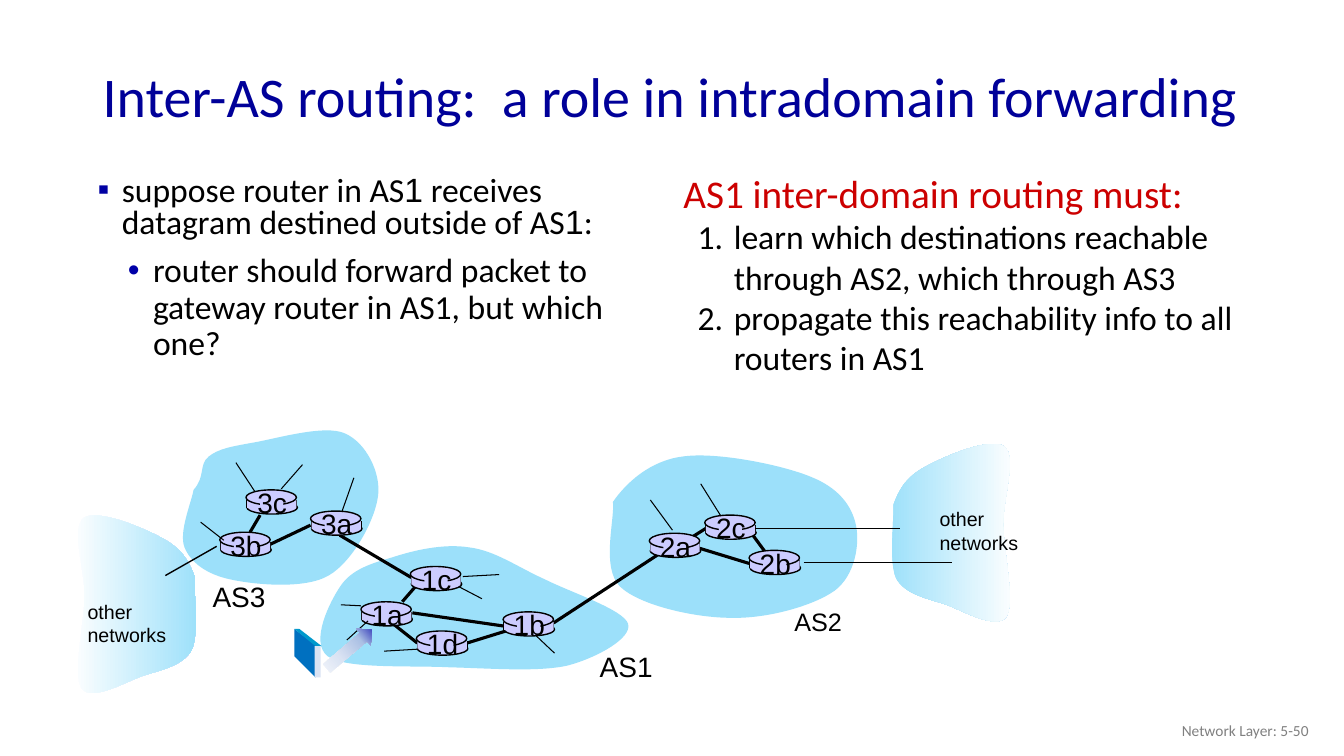
import copy
import pptx
import pptx.util
import pptx.dml.color
import pptx.enum.shapes
import pptx.enum.text
import pptx.oxml.ns
import lxml.etree

KIND = pptx.enum.shapes.MSO_SHAPE
ALIGN = pptx.enum.text.PP_ALIGN
qn = pptx.oxml.ns.qn
BLACK, SKY, LILAC = "000000", "9CE0FA", "CCCCFF"

# Outlines: a start, then three points for each curve
AS2 = [(6.08, .98), (6.21, .79), (6.45, .57), (6.77, .53), (7.1, .48), (7.75, .61), (8.04, .73),
       (8.32, .84), (8.45, 1.02), (8.49, 1.21), (8.53, 1.4), (8.48, 1.71), (8.28, 1.86),
       (8.07, 2.01), (7.61, 2.14), (7.25, 2.13), (6.9, 2.13), (6.35, 2.01), (6.15, 1.82),
       (5.96, 1.63), (6.1, 1.15), (6.08, .98)]
AS3 = [(1.92, .86), (2.04, .73), (1.97, .61), (2.07, .53), (2.17, .45), (2.3, .43), (2.52, .39),
       (2.75, .35), (3.22, .21), (3.42, .3), (3.63, .39), (3.78, .69), (3.75, .92),
       (3.72, 1.16), (3.5, 1.57), (3.26, 1.71), (3.02, 1.85), (2.52, 1.8), (2.29, 1.75),
       (2.05, 1.7), (1.89, 1.58), (1.83, 1.43), (1.77, 1.28), (1.9, .98), (1.92, .86)]
AS1 = [(3.38, 1.81), (3.49, 1.65), (3.68, 1.59), (3.89, 1.53), (4.1, 1.46), (4.4, 1.39), (4.65, 1.43),
       (4.91, 1.46), (5.14, 1.63), (5.41, 1.75), (5.67, 1.88), (6.19, 2.05), (6.23, 2.19),
       (6.27, 2.33), (5.93, 2.52), (5.64, 2.6), (5.35, 2.67), (4.86, 2.63), (4.46, 2.62),
       (4.06, 2.6), (3.43, 2.64), (3.25, 2.51), (3.07, 2.37), (3.27, 1.97), (3.38, 1.81)]
OTHER = [(1.23, .68), (1.17, .52), (1.1, .4), (.91, .3), (.73, .2), (.26, 0), (.13, .1),
         (0, .2), (.14, .6), (.14, .88), (.13, 1.17), (.02, 1.66), (.11, 1.79),
         (.2, 1.92), (.52, 1.74), (.7, 1.67), (.88, 1.61), (1.11, 1.57), (1.2, 1.41),
         (1.28, 1.24), (1.22, .84), (1.23, .68)]
NODES = {"3b": (2.18, 1.28), "1d": (4.13, 2.26), "3a": (3.08, 1.07), "1c": (4.07, 1.62),
         "2a": (6.44, 1.29), "1a": (3.58, 1.97), "2c": (6.99, 1.11), "2b": (7.43, 1.46),
         "1b": (4.99, 2.07), "3c": (2.44, .86)}
LINKS = [(6.94, 1.44, 7.43, 1.59), (7.46, 1.3, 7.6, 1.49), (6.83, 1.35, 7.02, 1.23),
         (4.63, 2.38, 5.05, 2.25), (3.9, 2.19, 4.14, 2.38), (4.09, 2.08, 4.99, 2.21),
         (3.99, 1.97, 4.12, 1.82), (2.68, 1.4, 3.08, 1.21), (3.37, 1.31, 4.08, 1.73),
         (5.49, 2.18, 6.53, 1.5), (2.58, 1.11, 2.48, 1.28)]
STUBS = [(1.99, 1.18, 2.22, 1.36), (3, .61, 2.79, .85), (2.34, .59, 2.53, .88),
         (3.51, .74, 3.39, 1.08), (7.15, 1.12, 6.95, .8), (6.67, 1.26, 6.45, .96),
         (3.65, 2.16, 3.44, 2.35), (3.58, 2.01, 3.38, 2), (4.15, 2.44, 3.81, 2.46),
         (4.59, 1.72, 4.95, 1.7), (5.31, 2.3, 5.5, 2.48), (4.55, 1.82, 4.78, 1.94),
         (7.49, 1.24, 8.93, 1.24), (7.97, 1.58, 9.44, 1.58)]


def inch(num):
    return pptx.util.Cm(num * 2.54)


def tint(code):
    return pptx.dml.color.RGBColor.from_string(code)


def paint(shape, fill, line=None):
    """Fill with one colour, or with a list of (place, colour) stops."""
    shape.shadow.inherit = False
    if isinstance(fill, str):
        shape.fill.solid()
        shape.fill.fore_color.rgb = tint(fill)
    else:
        shape.fill.gradient()
        shape.fill.gradient_angle = 0
        stops = shape._element.spPr.find(".//" + qn("a:gsLst"))
        while len(stops) < len(fill):
            stops.append(copy.deepcopy(stops[0]))
        for stop, (place, code) in zip(shape.fill.gradient_stops, fill):
            stop.position = place
            stop.color.rgb = tint(code)
    if line:
        shape.line.color.rgb = tint(line)
        shape.line.width = pptx.util.Pt(1)
    else:
        shape.line.fill.background()
    return shape


def block(slide, kind, box, fill, line=None):
    return paint(slide.shapes.add_shape(kind, *map(inch, box)), fill, line)


def wire(slide, x, y, ends, width):
    x1, y1, x2, y2 = ends
    line = slide.shapes.add_connector(pptx.enum.shapes.MSO_CONNECTOR.STRAIGHT,
                                      inch(x + x1), inch(y + y1), inch(x + x2), inch(y + y2))
    line.line.color.rgb = tint(BLACK)
    line.line.width = pptx.util.Pt(width)
    lxml.etree.SubElement(line._element.spPr, qn("a:effectLst"))


def outline(slide, x, y, points, fill):
    start, *rest = [(inch(x + a), inch(y + b)) for a, b in points]
    form = slide.shapes.build_freeform(*start)
    form.add_line_segments(rest)
    return paint(form.convert_to_shape(), fill)


def cloud(slide, x, y, points, fill):
    """Outline whose points, three by three, become cubic curves."""
    shape = outline(slide, x, y, points, fill)
    lines = shape._element.spPr.findall(".//" + qn("a:lnTo"))
    for k in range(0, len(lines), 3):
        bend = lxml.etree.Element(qn("a:cubicBezTo"))
        lines[k].addprevious(bend)
        for line in lines[k:k + 3]:
            bend.append(line[0])
            line.getparent().remove(line)


def write(slide, box, items, size, font="Arial", code=BLACK, align=None, wrap=False):
    frame = slide.shapes.add_textbox(*map(inch, box)).text_frame
    frame.word_wrap = wrap
    if not wrap:
        frame.auto_size = pptx.enum.text.MSO_AUTO_SIZE.SHAPE_TO_FIT_TEXT
    for n, item in enumerate(items):
        para = frame.paragraphs[0] if n == 0 else frame.add_paragraph()
        para.text = item
        para.alignment = align
        style(para, size, font, code)
    return frame


def style(para, size, font, code):
    para.font.size = pptx.util.Pt(size)
    para.font.name = font
    para.font.color.rgb = tint(code)


def bullet(para, left, hang, mark=None, code=None):
    """Indent a paragraph; without a mark it is numbered."""
    props = para._p.get_or_add_pPr()
    props.set("marL", str(inch(left)))
    props.set("indent", str(inch(-hang)))
    old = props.find(qn("a:defRPr"))
    if old is not None:
        props.remove(old)
    if mark:
        hue = lxml.etree.SubElement(props, qn("a:buClr"))
        lxml.etree.SubElement(hue, qn("a:srgbClr"), val=code)
        lxml.etree.SubElement(props, qn("a:buFont"), typeface="Arial")
        lxml.etree.SubElement(props, qn("a:buChar"), char=mark)
    else:
        lxml.etree.SubElement(props, qn("a:buAutoNum"), type="arabicPeriod")
    style(para, 24, "Calibri", BLACK)


def title(slide, box):
    frame = write(slide, box, ["Inter-AS routing:  a role in intradomain forwarding"],
                  40, "Calibri", "000099", wrap=True)
    frame.vertical_anchor = pptx.enum.text.MSO_ANCHOR.MIDDLE
    frame.paragraphs[0].line_spacing = .9


def problem(slide, box):
    x, y, w, h = box
    para = write(slide, (x + .06, y, w, .79), [""], 24, wrap=True).paragraphs[0]
    bullet(para, .39, .24, "▪", "0000A3")
    para.line_spacing = .8
    for text in ("suppose router in AS", "1", " receives datagram destined outside of AS", "1", ":"):
        run = para.add_run()
        run.text = text
        run.font.name = "Arial" if text == "1" else "Calibri"
    para = write(slide, (x, y + .77, w, h - .77), [
        "router should forward packet to gateway router in AS1, but which one?"], 24, wrap=True).paragraphs[0]
    bullet(para, .76, .25, "•", "0000A8")
    para.line_spacing = .9


def duties(slide, box):
    head, *steps = write(slide, box, [
        "AS1 inter-domain routing must:",
        "learn which destinations reachable through AS2, which through AS3",
        "propagate this reachability info to all routers in AS1"], 24, "Calibri", wrap=True).paragraphs
    style(head, 28, "Calibri", "CC0000")
    for step in steps:
        bullet(step, .5, .36)


def router(slide, x, y, name):
    block(slide, KIND.OVAL, (x + .01, y + .11, .5, .13), LILAC, BLACK)
    for side in (.01, .5):
        wire(slide, x, y, (side, .1, side, .18), 1)
    block(slide, KIND.RECTANGLE, (x + .01, y + .1, .49, .08), LILAC)
    block(slide, KIND.OVAL, (x, y, .5, .15), LILAC, BLACK)
    block(slide, KIND.RECTANGLE, (x + .14, y + .02, .23, .2), LILAC)
    write(slide, (x - .02, y - .09, .56, .43), [name], 20, align=ALIGN.CENTER)


def fringe(slide, x, y, label, flip):
    """Fading cloud of outside networks, with its label."""
    shape = [(1.28 - a if flip else a, b) for a, b in OTHER]
    hues = (SKY, "FFFFFF") if flip else ("FFFFFF", SKY)
    cloud(slide, x, y, shape, list(zip((0, 1), hues)))
    write(slide, (x + label[0], y + label[1], .98, .57), ["other", "networks"], 14)


def packet(slide, x, y):
    arrow = block(slide, KIND.RIGHT_ARROW, (x + .25, y + .09, .59, .22),
                  [(0, "F6F8FC"), (.35, "DAE3F3"), (.68, "ABC0E4"), (1, "0000A8")])
    arrow.rotation = 319.6
    outline(slide, x, y, [(0, 0), (0, .27), (.21, .48), (.21, .16)], "0070C0")
    outline(slide, x, y, [(.05, 0), (0, 0), (.21, .17), (.27, .17)], "0099CC")
    block(slide, KIND.RECTANGLE, (x + .2, y + .17, .06, .31), "DAE3F3")


def network(slide, box):
    x, y = box[:2]
    for area in (AS2, AS3, AS1):
        cloud(slide, x, y, area, SKY)
    for ends in LINKS:
        wire(slide, x, y, ends, 2.25)
    for name, (left, top) in NODES.items():
        router(slide, x + left, y + top, name)
    for name, left, top, wide, size in (("AS3", 2.01, 1.7, .73, 20), ("AS1", 5.85, 2.39, .73, 20),
                                        ("AS2", 7.78, 1.97, .67, 18)):
        write(slide, (x + left, y + top, wide, .43), [name], size)
    # Outside networks and the loose ends
    fringe(slide, x + .7, y + 1.04, (.07, .86), False)
    fringe(slide, x + 8.81, y + .33, (.41, .65), True)
    wire(slide, x, y, (2.15, 1.42, 1.64, 1.71), 1)
    for ends in STUBS:
        wire(slide, x, y, ends, .75)
    packet(slide, x + 2.92, y + 2.24)


def footer(slide, box):
    frame = write(slide, box, ["Network Layer: 5-50"], 11, "Calibri", "808080", ALIGN.RIGHT, True)
    frame.vertical_anchor = pptx.enum.text.MSO_ANCHOR.MIDDLE


def main():
    deck = pptx.Presentation()
    deck.slide_width, deck.slide_height = inch(13.33), inch(7.5)
    slide = deck.slides.add_slide(deck.slide_layouts[6])
    title(slide, (.92, .5, 11.89, .98))
    network(slide, (0, 4, 10.2, 3))
    problem(slide, (.66, 1.7, 5.47, 2.2))
    duties(slide, (6.68, 1.63, 6, 2.19))
    footer(slide, (10.08, 7.05, 3, .4))
    deck.save("out.pptx")


if __name__ == "__main__":
    main()
